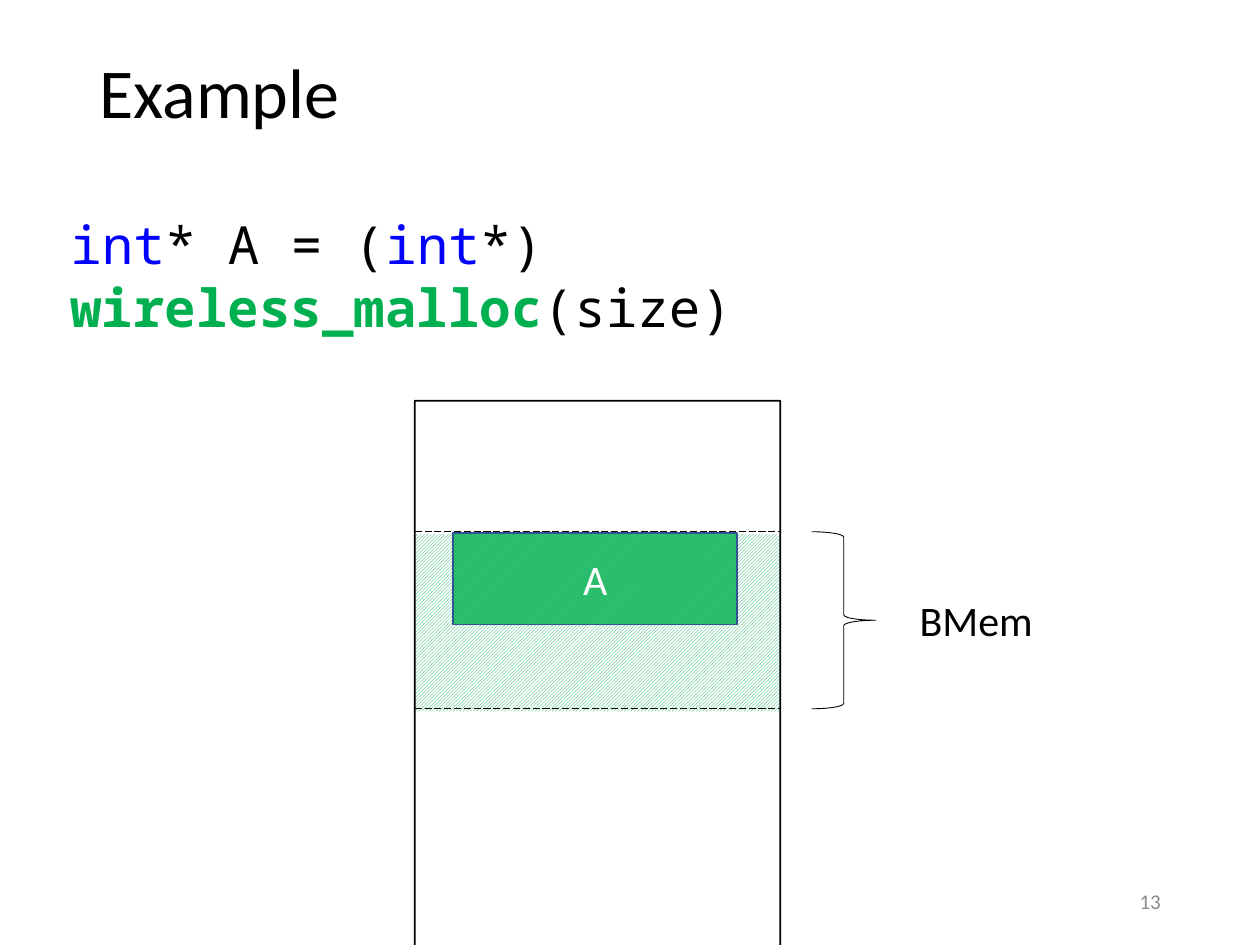
from lxml import etree
from pptx import Presentation
from pptx.dml.color import RGBColor
from pptx.enum import dml, shapes, text
from pptx.oxml import ns
from pptx.util import Cm, Pt

BLACK = RGBColor(0x00, 0x00, 0x00)
WHITE = RGBColor(0xFF, 0xFF, 0xFF)
BLUE = RGBColor(0x00, 0x00, 0xFF)
GREEN = RGBColor(0x00, 0xB0, 0x50)
NAVY = RGBColor(0x32, 0x54, 0x91)
GREY = RGBColor(0x8C, 0x8C, 0x8C)

MEM_LEFT, MEM_WIDTH = 8.36, 7.37
REGION_TOP, REGION_HEIGHT = 10.72, 3.57


def add_run(paragraph, words, size, color, font="Calibri", bold=False):
    run = paragraph.add_run()
    run.text = words
    run.font.name = font
    run.font.size = Pt(size)
    run.font.color.rgb = color
    run.font.bold = bold


def add_outline(kind, left, top, width, height, color=None, weight=1):
    shape = slide.shapes.add_shape(kind, Cm(left), Cm(top), Cm(width), Cm(height))
    shape.shadow.inherit = False
    shape.fill.background()
    if color is None:
        shape.line.fill.background()
    else:
        shape.line.color.rgb = color
        shape.line.width = Pt(weight)
    return shape


prs = Presentation()
prs.slide_width, prs.slide_height = Cm(25.4), Cm(19.05)
slide = prs.slides.add_slide(prs.slide_layouts[5])

title = slide.shapes.title
title.left, title.top, title.width, title.height = Cm(1.75), Cm(0.1), Cm(21.9), Cm(3.68)
title.text_frame.vertical_anchor = text.MSO_ANCHOR.MIDDLE
heading = title.text_frame.paragraphs[0]
heading.alignment = text.PP_ALIGN.LEFT
heading.line_spacing = 0.9
add_run(heading, "Example", 40, BLACK)

code = slide.shapes.add_textbox(Cm(1.17), Cm(4.14), Cm(23.65), Cm(1.55))
code.text_frame.word_wrap = True
for words, color, bold in [
    ("int", BLUE, False),
    ("* A = (", BLACK, False),
    ("int", BLUE, False),
    ("*) ", BLACK, False),
    ("wireless_malloc", GREEN, True),
    ("(size)", BLACK, False),
]:
    add_run(code.text_frame.paragraphs[0], words, 30, color, "Noto Sans Mono", bold)

page_number = slide.shapes.add_textbox(Cm(17.93), Cm(17.65), Cm(5.72), Cm(1.02))
page_number.text_frame.word_wrap = True
page_number.text_frame.vertical_anchor = text.MSO_ANCHOR.MIDDLE
page_number.text_frame.paragraphs[0].alignment = text.PP_ALIGN.RIGHT
add_run(page_number.text_frame.paragraphs[0], "13", 12, GREY)

region = add_outline(shapes.MSO_SHAPE.RECTANGLE, MEM_LEFT, REGION_TOP + 0.05, MEM_WIDTH, REGION_HEIGHT)
region.fill.patterned()
region.fill.pattern = dml.MSO_PATTERN.LIGHT_UPWARD_DIAGONAL
region.fill.fore_color.rgb = GREEN
region.fill.back_color.rgb = WHITE

add_outline(shapes.MSO_SHAPE.FLOWCHART_DOCUMENT, MEM_LEFT, 8.08, MEM_WIDTH, 14.94, BLACK)

for y in (REGION_TOP, REGION_TOP + REGION_HEIGHT):
    boundary = slide.shapes.add_connector(
        shapes.MSO_CONNECTOR.STRAIGHT, Cm(MEM_LEFT), Cm(y), Cm(MEM_LEFT + MEM_WIDTH), Cm(y))
    boundary.line.color.rgb = BLACK
    boundary.line.width = Pt(0.5)
    boundary.line.dash_style = dml.MSO_LINE.LONG_DASH
    etree.SubElement(boundary.element.spPr, ns.qn("a:effectLst"))

add_outline(shapes.MSO_SHAPE.RIGHT_BRACE, 16.36, REGION_TOP, 1.3, REGION_HEIGHT, BLACK, 0.5)

region_label = slide.shapes.add_textbox(Cm(18.29), Cm(11.86), Cm(2.82), Cm(1.27))
region_label.text_frame.word_wrap = False
add_run(region_label.text_frame.paragraphs[0], "BMem", 24, BLACK)

array = add_outline(shapes.MSO_SHAPE.RECTANGLE, 9.14, 10.74, 5.72, 1.85, NAVY)
array.fill.solid()
array.fill.fore_color.rgb = GREEN
array_color = array.element.spPr.find(ns.qn("a:solidFill"))[0]
etree.SubElement(array_color, ns.qn("a:alpha"), val="80000")
array.text_frame.vertical_anchor = text.MSO_ANCHOR.MIDDLE
array.text_frame.paragraphs[0].alignment = text.PP_ALIGN.CENTER
add_run(array.text_frame.paragraphs[0], "A", 24, WHITE)

prs.save("out.pptx")
